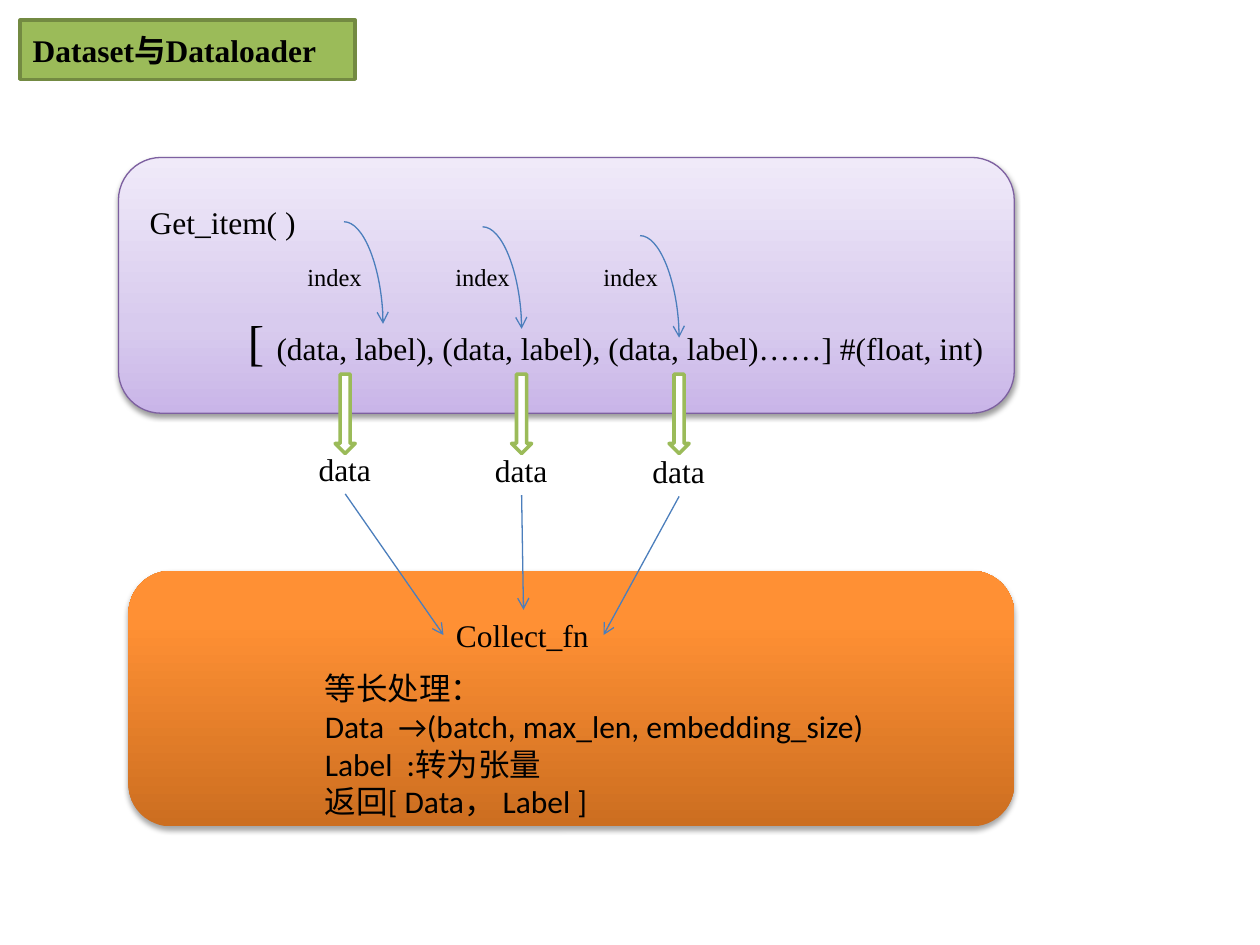
from copy import deepcopy
from lxml import etree
from pptx import Presentation
from pptx.dml.color import RGBColor
from pptx.enum import shapes, text
from pptx.oxml import parse_xml
from pptx.oxml.ns import qn, nsdecls
from pptx.util import Inches, Pt

BLACK = RGBColor(0, 0, 0)
WHITE = RGBColor(0xFF, 0xFF, 0xFF)
GREEN = RGBColor(0x9B, 0xBB, 0x59)
OLIVE = RGBColor(0x73, 0x8A, 0x42)
BLUE = RGBColor(0x4B, 0x7E, 0xBC)
PURPLE = RGBColor(0x7D, 0x60, 0xA0)
ORANGES = [(0, RGBColor(0xCC, 0x6E, 0x20)), (0.8, RGBColor(0xFF, 0x90, 0x34)),
           (1, RGBColor(0xFF, 0x91, 0x36))]
LILACS = [(0, RGBColor(0xC9, 0xB5, 0xE8)), (0.35, RGBColor(0xD8, 0xCB, 0xEE)),
          (1, RGBColor(0xF0, 0xEA, 0xF9))]
SERIF = "Times New Roman"

prs = Presentation()
prs.slide_width, prs.slide_height = Inches(10), Inches(7.5)
slide = prs.slides.add_slide(prs.slide_layouts[5])
items = slide.shapes


def write(at, lines, size=18, name=SERIF, wrap=True):
    box = items.add_textbox(*map(Inches, at))
    frame = box.text_frame
    frame.word_wrap = wrap
    frame.text = "\n".join(lines)
    form = {"size": Pt(size), "name": name}
    for para in frame.paragraphs:
        for key, val in form.items():
            setattr(para.runs[0].font, key, val)
        para.runs[0].font.color.rgb = BLACK
    return box


def link(kind, ends):
    line = items.add_connector(kind, *map(Inches, ends))
    line.line.color.rgb = BLUE
    line.line.width = Pt(0.75)
    etree.SubElement(line.line._get_or_add_ln(), qn("a:tailEnd"), type="arrow")
    etree.SubElement(line._element.spPr, qn("a:effectLst"))
    return line


panels = [((1.02, 4.53, 7.03, 2.03), ORANGES, None, 35, 23000),
          ((0.94, 1.25, 7.11, 2.03), LILACS, PURPLE, 38, 20000)]
for at, stops, edge, alpha, dist in panels:
    panel = items.add_shape(shapes.MSO_SHAPE.ROUNDED_RECTANGLE, *map(Inches, at))
    panel.fill.gradient()
    panel.fill.gradient_angle = 90
    ramp = panel._element.spPr.find(".//" + qn("a:gsLst"))
    ramp.append(deepcopy(ramp[0]))
    for stop, (pos, color) in zip(panel.fill.gradient_stops, stops):
        stop.position = pos
        stop.color.rgb = color
    if edge:
        panel.line.color.rgb = edge
        panel.line.width = Pt(0.75)
    else:
        panel.line.fill.background()
    panel.shadow.inherit = False
    panel._element.spPr.find(qn("a:effectLst")).append(parse_xml(
        f'<a:outerShdw {nsdecls("a")} blurRad="40000" dist="{dist}" dir="5400000" '
        f'rotWithShape="0"><a:srgbClr val="000000"><a:alpha val="{alpha}000"/>'
        '</a:srgbClr></a:outerShdw>'))

pairs = write((1.87, 2.42, 6.1, 0.57), ["[ "], size=28, wrap=False)
run = pairs.text_frame.paragraphs[0].add_run()
run.text = "(data, label), (data, label), (data, label)……] #(float, int)"
for key, val in {"size": Pt(18), "name": SERIF}.items():
    setattr(run.font, key, val)
run.font.color.rgb = BLACK
write((1.09, 1.56, 1.64, 0.4), ["Get_item( )"])

for x, y in [(2.73, 1.76), (3.83, 1.8), (5.08, 1.87)]:
    curve = link(shapes.MSO_CONNECTOR.CURVE, (x, y, x + 0.31, y + 0.81))
    curve._element.spPr.find(qn("a:prstGeom")).set("prst", "curvedConnector2")

for col in range(3):
    write((2.34 + 1.175 * col, 2.03, 1.02, 0.34), ["index"], size=14)

goal = write((3.52, 4.84, 1.27, 0.4), ["Collect_fn"], wrap=False)
for mid, y, side in [(2.74, 3.52, 1), (4.14, 3.53, 0), (5.39, 3.54, 3)]:
    data = write((mid - 0.31, y, 0.62, 0.4), ["data"], wrap=False)
    arrow = items.add_shape(shapes.MSO_SHAPE.DOWN_ARROW, Inches(mid - 0.08),
                            Inches(2.97), Inches(0.16), Inches(0.63))
    arrow.shadow.inherit = False
    arrow.fill.solid()
    arrow.fill.fore_color.rgb = WHITE
    arrow.line.color.rgb = GREEN
    arrow.line.width = Pt(2)
    line = link(shapes.MSO_CONNECTOR.STRAIGHT, (mid, y + 0.4, 4.15, 4.84))
    line.begin_connect(data, 2)
    line.end_connect(goal, side)

write((2.48, 5.26, 4.55, 1.62),
      ["等长处理：", "Data  →(batch, max_len, embedding_size)",
       "Label  :转为张量", "返回[ Data， Label ]"], name="Calibri")

title = items.title
place = {"left": 0.16, "top": 0.16, "width": 2.66, "height": 0.47}
for key, val in place.items():
    setattr(title, key, Inches(val))
title.fill.solid()
title.fill.fore_color.rgb = GREEN
title.line.color.rgb = OLIVE
title.line.width = Pt(2)
frame = title.text_frame
frame.text = "Dataset与Dataloader"
frame.auto_size = text.MSO_AUTO_SIZE.NONE
frame.vertical_anchor = text.MSO_ANCHOR.MIDDLE
para = frame.paragraphs[0]
para.alignment = text.PP_ALIGN.LEFT
for key, val in {"size": Pt(18), "name": SERIF, "bold": True}.items():
    setattr(para.runs[0].font, key, val)
para.runs[0].font.color.rgb = BLACK

prs.save("out.pptx")
